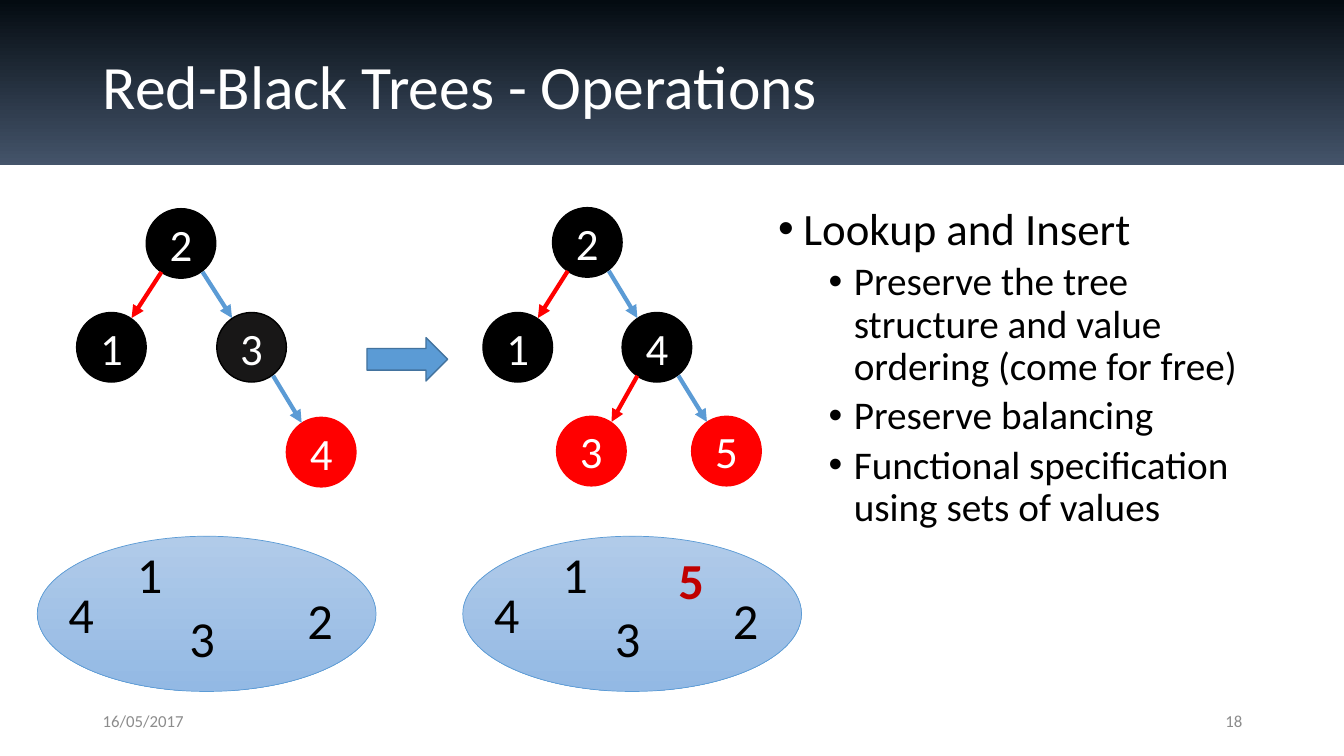
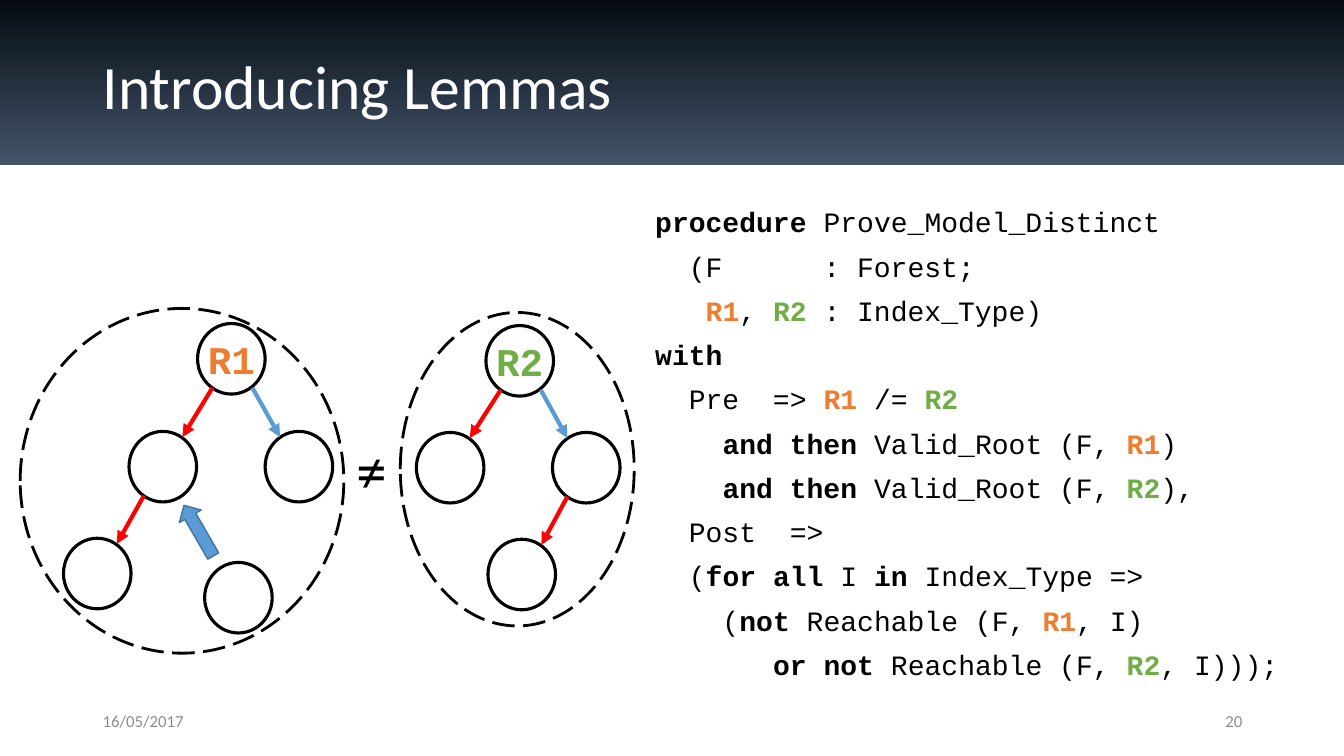
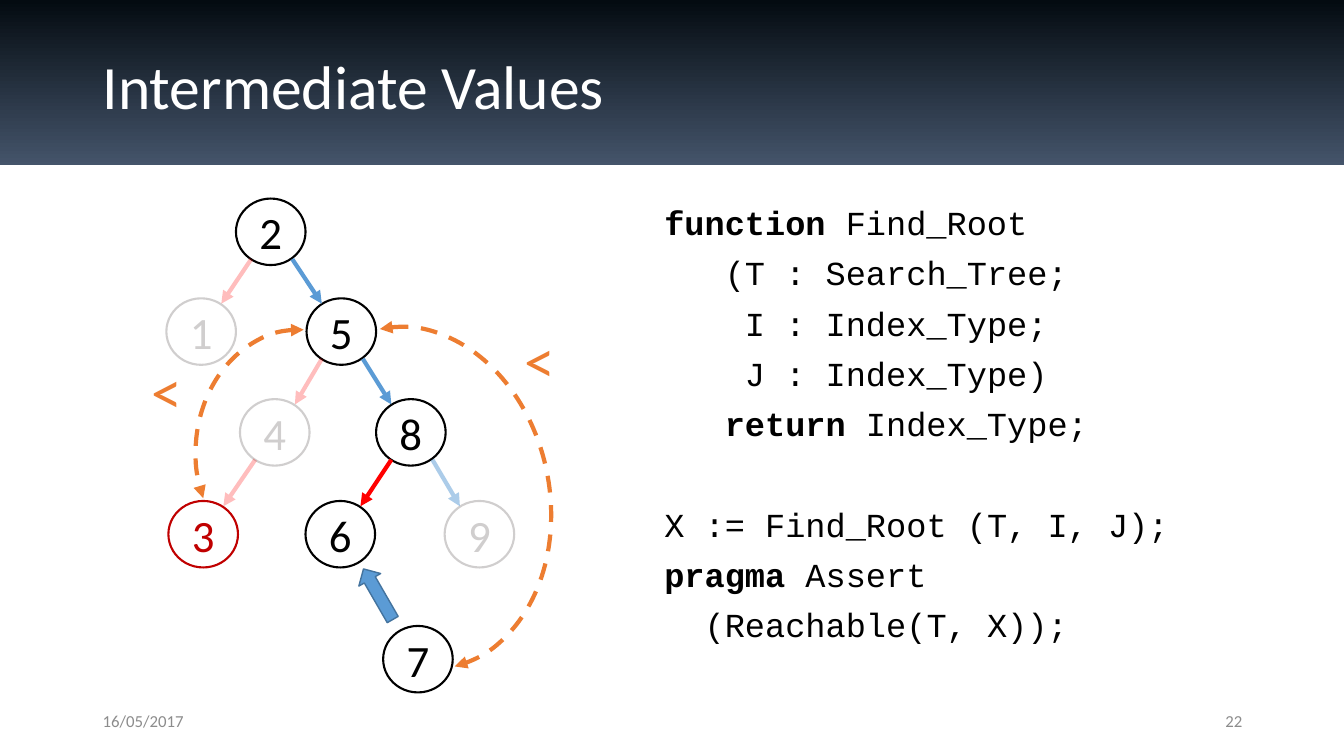
from lxml import etree
from pptx import Presentation
from pptx.dml.color import RGBColor
from pptx.enum import dml, shapes, text
from pptx.oxml.ns import qn
from pptx.util import Inches, Pt

BLACK = RGBColor(0x00, 0x00, 0x00)
WHITE = RGBColor(0xFF, 0xFF, 0xFF)
CHARCOAL = RGBColor(0x18, 0x17, 0x17)
RED = RGBColor(0xFF, 0x00, 0x00)
DARK_RED = RGBColor(0xC0, 0x00, 0x00)
BLUE = RGBColor(0x5B, 0x9B, 0xD5)
DARK_BLUE = RGBColor(0x43, 0x73, 0x9E)
ORANGE = RGBColor(0xED, 0x7D, 0x31)
GREEN = RGBColor(0x70, 0xAD, 0x47)
PALE_GREY = RGBColor(0xD0, 0xCE, 0xCE)
FOOTER_GREY = RGBColor(0x8C, 0x8C, 0x8C)
BAND = (RGBColor(0x04, 0x0B, 0x11), RGBColor(0x44, 0x54, 0x6A))
SET_FILL = (RGBColor(0xB1, 0xCB, 0xE9), RGBColor(0x93, 0xB9, 0xE4))

# Node styles: fill, outline, label colour
BLACK_NODE = (BLACK, BLACK, WHITE)
CHARCOAL_NODE = (CHARCOAL, BLACK, WHITE)
RED_NODE = (RED, RED, WHITE)
OPEN_NODE = (WHITE, BLACK, BLACK)
ROOT_1 = (WHITE, BLACK, ORANGE)
ROOT_2 = (WHITE, BLACK, GREEN)
FADED_NODE = (WHITE, PALE_GREY, PALE_GREY)
FOUND_NODE = (WHITE, DARK_RED, DARK_RED)

BODY, CODE = "Calibri", "Courier New"
ELLIPSE = shapes.MSO_SHAPE.OVAL
MIDDLE = text.MSO_ANCHOR.MIDDLE
LEFT, CENTER, RIGHT = text.PP_ALIGN.LEFT, text.PP_ALIGN.CENTER, text.PP_ALIGN.RIGHT
ACCENTS = {"R1": ORANGE, "R2": GREEN}


def add_box(page, kind, at, lines=(), size=12, ink=BLACK, font=BODY, align=LEFT,
            anchor=text.MSO_ANCHOR.TOP, wrap=True, spacing=1.0, gap=0,
            fill=None, outline=None, width=1.0):
    """Add a preset shape, or a text box if kind is None; *stars* mark bold text."""
    place = [Inches(length) for length in at]
    if kind is None:
        box = page.shapes.add_textbox(*place)
    else:
        box = page.shapes.add_shape(kind, *place)
        box.shadow.inherit = False
        if fill is None:
            box.fill.background()
        elif isinstance(fill, RGBColor):
            box.fill.solid()
            box.fill.fore_color.rgb = fill
        else:
            box.fill.gradient()
            box.fill.gradient_angle = 270
            for stop, colour in zip(box.fill.gradient_stops, fill):
                stop.color.rgb = colour
        if outline is None:
            box.line.fill.background()
        else:
            box.line.color.rgb = outline
            box.line.width = Pt(width)
    frame = box.text_frame
    frame.word_wrap = wrap
    frame.vertical_anchor = anchor
    for index, line in enumerate(lines):
        para = frame.add_paragraph() if index else frame.paragraphs[0]
        para.alignment = align
        para.line_spacing = spacing
        if index:
            para.space_before = Pt(gap)
        para.font.name, para.font.size = font, Pt(size)
        para.font.color.rgb = ink
        for part, words in enumerate(line.split("*")):
            if words:
                span = para.add_run()
                span.text = words
                if part % 2:
                    span.font.bold = True
                    if words in ACCENTS:
                        span.font.color.rgb = ACCENTS[words]
    return box


def add_tree(page, nodes, node_size, width, size=32, font=BODY):
    """Draw nodes (left, top, label, parent index, style), then their edges."""
    wide, high = node_size
    for left, top, label, _, (fill, outline, ink) in nodes:
        add_box(page, ELLIPSE, (left, top, wide, high), [label] if label else [], size, ink,
                font, CENTER, MIDDLE, wrap=False, fill=fill, outline=outline, width=width)
    for left, top, _, parent, style in nodes:
        if parent is None:
            continue
        parent_left, parent_top = nodes[parent][:2]
        is_left = left < parent_left
        start_x, end_x = (0.22, 0.79) if is_left else (0.81, 0.22)
        edge = page.shapes.add_connector(
            shapes.MSO_CONNECTOR.STRAIGHT,
            Inches(parent_left + start_x * wide), Inches(parent_top + 0.91 * high),
            Inches(left + end_x * wide), Inches(top + 0.08 * high))
        edge.line.color.rgb = RED if is_left else BLUE
        edge.line.width = Pt(3)
        properties = edge.element.spPr
        stroke = properties.find(qn("a:ln"))
        if style in (FADED_NODE, FOUND_NODE):
            colour = stroke.find(".//" + qn("a:srgbClr"))
            etree.SubElement(colour, qn("a:alpha"), val="25000" if is_left else "50000")
        etree.SubElement(stroke, qn("a:tailEnd"), type="triangle")
        etree.SubElement(properties, qn("a:effectLst"))


deck = Presentation()
deck.slide_width, deck.slide_height = Inches(13.33), Inches(7.5)

pages = []
for title, number in (("Red-Black Trees - Operations", "18"),
                      ("Introducing Lemmas", "20"),
                      ("Intermediate Values", "22")):
    page = deck.slides.add_slide(deck.slide_layouts[6])
    add_box(page, shapes.MSO_SHAPE.RECTANGLE, (-0.01, 0, 13.34, 1.64), fill=BAND)
    add_box(page, None, (0.92, 0.4, 11.5, 0.97), [title], 44, WHITE, anchor=MIDDLE, spacing=0.9)
    add_box(page, None, (0.92, 6.95, 3, 0.4), ["16/05/2017"], 12, FOOTER_GREY, anchor=MIDDLE)
    add_box(page, None, (9.42, 6.95, 3, 0.4), [number], 12, FOOTER_GREY,
            align=RIGHT, anchor=MIDDLE)
    pages.append(page)
operations, lemmas, values = pages

# Red-black tree operations
bullet_frame = add_box(operations, None, (7.62, 2, 4.94, 4.76)).text_frame
for index, (level, words) in enumerate((
        (0, "Lookup and Insert"),
        (1, "Preserve the tree structure and value ordering (come for free)"),
        (1, "Preserve balancing"),
        (1, "Functional specification using sets of values"))):
    para = bullet_frame.add_paragraph() if index else bullet_frame.paragraphs[0]
    para.text = words
    para.level = level
    para.line_spacing = 0.9
    if index:
        para.space_before = Pt(5)
    properties = para._p.get_or_add_pPr()
    properties.set("marL", str(Inches(0.25 + 0.5 * level)))
    properties.set("indent", str(Inches(-0.25)))
    etree.SubElement(properties, qn("a:buFont"), typeface="Arial")
    etree.SubElement(properties, qn("a:buChar"), char="•")
    para.font.name, para.font.size = BODY, Pt(28 if level else 32)
    para.font.color.rgb = BLACK

add_tree(operations, [
    (1.45, 2.07, "2", None, BLACK_NODE),
    (0.76, 3.1, "1", 0, BLACK_NODE),
    (2.15, 3.1, "3", 0, CHARCOAL_NODE),
    (2.84, 4.14, "4", 2, RED_NODE),
], (0.69, 0.69), 1)
add_tree(operations, [
    (5.48, 2.06, "2", None, BLACK_NODE),
    (4.79, 3.1, "1", 0, BLACK_NODE),
    (6.17, 3.1, "4", 0, BLACK_NODE),
    (5.52, 4.13, "3", 2, RED_NODE),
    (6.86, 4.13, "5", 2, RED_NODE),
], (0.69, 0.69), 1)
add_box(operations, shapes.MSO_SHAPE.RIGHT_ARROW, (3.64, 3.35, 0.8, 0.43),
        fill=BLUE, outline=DARK_BLUE)

for set_left in (0.37, 4.59):
    add_box(operations, ELLIPSE, (set_left, 5.32, 3.36, 1.54),
            fill=SET_FILL, outline=BLUE, width=0.5)
    for offset, top, member in ((0.89, 5.34, "1"), (2.58, 5.79, "2"),
                                (1.41, 5.97, "3"), (0.21, 5.74, "4")):
        add_box(operations, None, (set_left + offset, top, 0.36, 0.71), [member], 36, wrap=False)
add_box(operations, None, (6.63, 5.4, 0.36, 0.71), ["*5*"], 36, DARK_RED, wrap=False)

# Lemmas
add_box(lemmas, None, (6.4, 2.02, 6.39, 4.82), [
    "*procedure *Prove_Model_Distinct",
    "  (F      : Forest;",
    "   *R1*, *R2* : Index_Type)",
    "*with*",
    "  Pre  => *R1* /= *R2*",
    "    *and then *Valid_Root (F, *R1*)",
    "    *and then *Valid_Root (F, *R2*),",
    "  Post  =>",
    "  (*for all *I *in *Index_Type =>",
    "    (*not* Reachable (F, *R1*, I)",
    "       *or not *Reachable (F, *R2*, I)));",
], 20, font=CODE, spacing=0.9, gap=10)
add_tree(lemmas, [
    (1.96, 3.21, "*R1*", None, ROOT_1),
    (1.28, 4.28, "", 0, OPEN_NODE),
    (2.63, 4.28, "", 0, OPEN_NODE),
    (0.63, 5.34, "", 1, OPEN_NODE),
    (2.03, 5.58, "", None, OPEN_NODE),
], (0.67, 0.7), 2.25, 28, CODE)
add_tree(lemmas, [
    (4.82, 3.23, "*R2*", None, ROOT_2),
    (4.13, 4.29, "", 0, OPEN_NODE),
    (5.48, 4.29, "", 0, OPEN_NODE),
    (4.84, 5.35, "", 2, OPEN_NODE),
], (0.67, 0.7), 2.25, 28, CODE)
add_box(lemmas, None, (3.44, 4.24, 0.51, 0.84), ["≠"], 44, wrap=False)
for at in ((3.97, 3.1, 2.32, 3.11), (0.2, 3.06, 3.21, 3.42)):
    boundary = add_box(lemmas, ELLIPSE, at, outline=BLACK, width=2)
    boundary.line.dash_style = dml.MSO_LINE.LONG_DASH

# Intermediate values
add_tree(values, [
    (2.34, 1.97, "2", None, OPEN_NODE),
    (1.65, 2.96, "1", 0, FADED_NODE),
    (3.04, 2.96, "5", 0, OPEN_NODE),
    (2.38, 3.96, "4", 2, FADED_NODE),
    (3.73, 3.96, "8", 2, OPEN_NODE),
    (1.67, 4.97, "3", 3, FOUND_NODE),
    (3.03, 4.97, "6", 4, OPEN_NODE),
    (4.41, 4.97, "9", 4, FADED_NODE),
    (3.8, 6.21, "7", None, OPEN_NODE),
], (0.69, 0.66), 1.5)

for at, rotation, end_angle, flipped in (
        ((2.77, 3.23, 2.68, 3.43), 348.5, 52.79, False),
        ((1.94, 3.27, 2.03, 2.4), 2.7, 17.64, True)):
    arc = add_box(values, shapes.MSO_SHAPE.ARC, at, outline=ORANGE, width=3)
    arc.rotation = rotation
    arc.adjustments[0], arc.adjustments[1] = 162, end_angle
    arc.line.dash_style = dml.MSO_LINE.DASH
    properties = arc.element.spPr
    if flipped:
        properties.find(qn("a:xfrm")).set("flipH", "1")
    for end in ("a:headEnd", "a:tailEnd"):
        etree.SubElement(properties.find(qn("a:ln")), qn(end), type="triangle")
for left, top in ((5.1, 3.14), (1.4, 3.45)):
    add_box(values, None, (left, top, 0.51, 0.84), ["<"], 44, ORANGE, wrap=False)

code_box = add_box(values, None, (6.49, 2, 6.06, 4.76), [
    "*function *Find_Root",
    "   (T : Search_Tree;",
    "    I : Index_Type;",
    "    J : Index_Type)",
    "   *return *Index_Type;",
    "X := Find_Root (T, I, J);",
    "*pragma* Assert",
    "  (Reachable(T, X));",
], 24, font=CODE, spacing=0.9, gap=10)
code_box.text_frame.paragraphs[5].space_before = Pt(46)

# Arrows that attach the new node
for page, left, top in ((lemmas, 1.68, 5.14), (values, 3.46, 5.77)):
    arrow = add_box(page, shapes.MSO_SHAPE.LEFT_ARROW, (left, top, 0.58, 0.25),
                    fill=BLUE, outline=DARK_BLUE)
    arrow.rotation = 60

deck.save("out.pptx")
